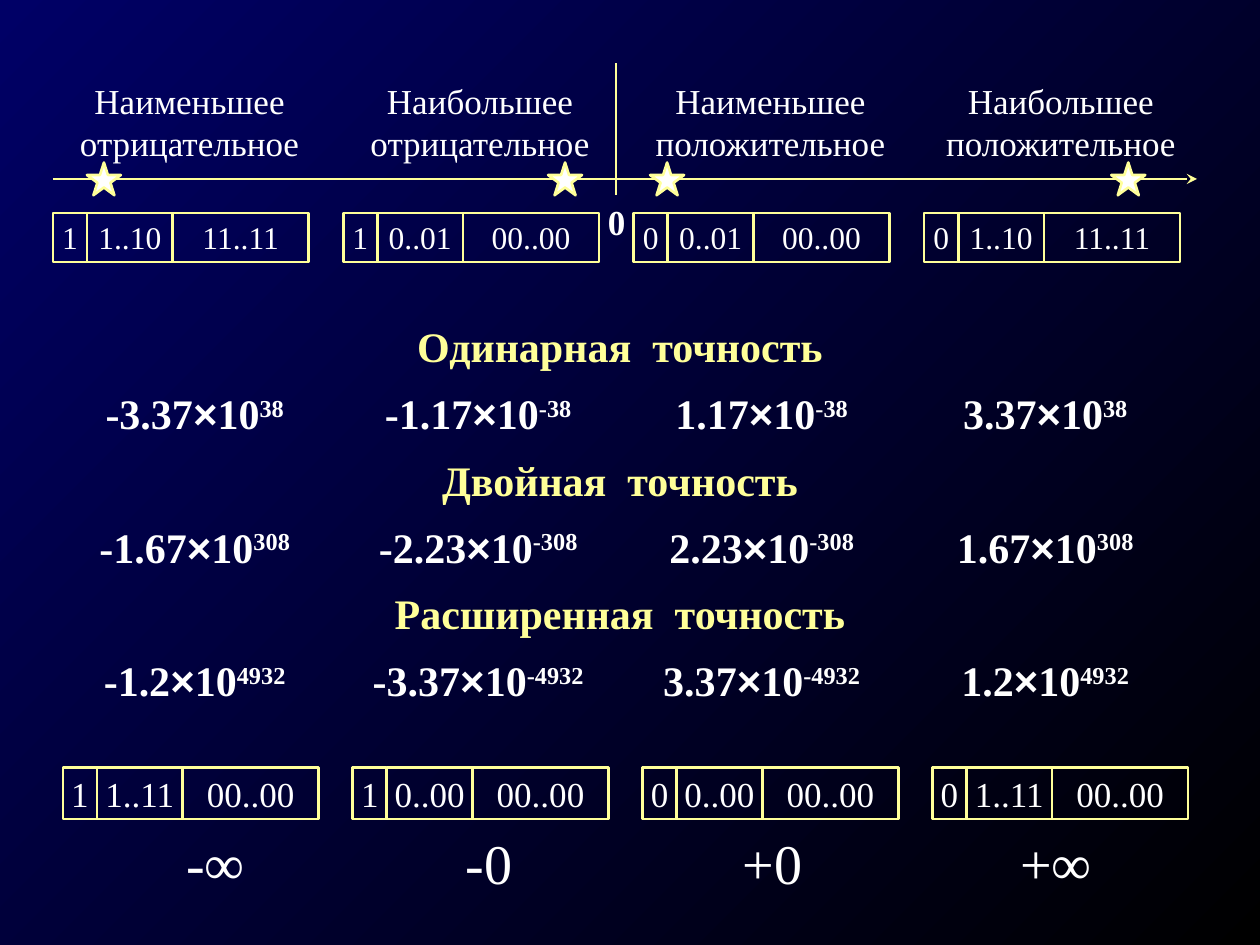
import pptx
import pptx.util
from pptx.dml.color import RGBColor
from pptx.enum.shapes import MSO_CONNECTOR, MSO_SHAPE
from pptx.enum.text import MSO_ANCHOR, PP_ALIGN
from pptx.oxml.ns import qn
from lxml import etree

NAVY = RGBColor(0x00, 0x00, 0x66)
BLACK = RGBColor(0x00, 0x00, 0x00)
WHITE = RGBColor(0xFF, 0xFF, 0xFF)
YELLOW = RGBColor(0xFF, 0xFF, 0x99)

SERIF = "Times New Roman"
LINE_WIDTH = 1.5
NO_TABLE_STYLE = "{2D5ABB26-0587-4C30-8999-92F81FD0307C}"

AXIS_LEFT, AXIS_RIGHT, AXIS_Y = 0.42, 9.5, 1.42
ZERO_X = 4.89
RANGE_STEP = 2.305
SPECIAL_LEFT, SPECIAL_STEP = 0.5, 2.3
FIELD_WIDTHS = (0.27, 0.68, 1.08)
STAR_WIDTH, STAR_HEIGHT = 0.27, 0.26
TABLE_TOP, TABLE_COLUMN, TABLE_ROW = 2.5, 2.25, 0.53

RANGES = [
    ("Наименьшее\nотрицательное", ("1", "1..10", "11..11"), 0.69),
    ("Наибольшее\nотрицательное", ("1", "0..01", "00..00"), 4.35),
    ("Наименьшее\nположительное", ("0", "0..01", "00..00"), 5.16),
    ("Наибольшее\nположительное", ("0", "1..10", "11..11"), 8.82),
]

PRECISIONS = [
    ("Одинарная  точность",
     [("-3.37", "38"), ("-1.17", "-38"), ("1.17", "-38"), ("3.37", "38")]),
    ("Двойная  точность",
     [("-1.67", "308"), ("-2.23", "-308"), ("2.23", "-308"), ("1.67", "308")]),
    ("Расширенная  точность",
     [("-1.2", "4932"), ("-3.37", "-4932"), ("3.37", "-4932"), ("1.2", "4932")]),
]

SPECIALS = [
    ("-∞", ("1", "1..11", "00..00"), 1.0),
    ("-0", ("1", "0..00", "00..00"), 3.17),
    ("+0", ("0", "0..00", "00..00"), 5.42),
    ("+∞", ("0", "1..11", "00..00"), 7.67),
]


def inches(*lengths):
    return [pptx.util.Inches(length) for length in lengths]


def paint_background(slide):
    fill = slide.background.fill
    fill.gradient()
    fill.gradient_angle = 315
    for stop, color, position in zip(fill.gradient_stops, (NAVY, BLACK), (0, 1)):
        stop.color.rgb = color
        stop.position = position


def style_font(font, size, color=WHITE, bold=False, name=SERIF):
    font.size = pptx.util.Pt(size)
    font.color.rgb = color
    font.bold = bold
    font.name = name


def write(frame, text, size, insets, bold=False):
    frame.word_wrap = True
    frame.vertical_anchor = MSO_ANCHOR.TOP
    frame.margin_left = frame.margin_right = pptx.util.Inches(insets[0])
    frame.margin_top = frame.margin_bottom = pptx.util.Inches(insets[1])
    frame.text = text
    for paragraph in frame.paragraphs:
        paragraph.alignment = PP_ALIGN.CENTER
        for run in paragraph.runs:
            style_font(run.font, size, bold=bold)


def add_label(slide, box, text, size, insets, bold=False):
    label = slide.shapes.add_textbox(*inches(*box))
    write(label.text_frame, text, size, insets, bold)


def outline(shape):
    shape.shadow.inherit = False
    shape.line.color.rgb = YELLOW
    shape.line.width = pptx.util.Pt(LINE_WIDTH)


def add_bit_fields(slide, left, top, height, bits, size):
    for bit_text, width in zip(bits, FIELD_WIDTHS):
        field = slide.shapes.add_shape(
            MSO_SHAPE.RECTANGLE, *inches(left, top, width, height))
        field.fill.background()
        outline(field)
        write(field.text_frame, bit_text, size, (0, 0.04))
        left += width


def add_star(slide, left):
    star = slide.shapes.add_shape(
        MSO_SHAPE.STAR_5_POINT,
        *inches(left, AXIS_Y - STAR_HEIGHT / 2, STAR_WIDTH, STAR_HEIGHT))
    star.fill.solid()
    star.fill.fore_color.rgb = WHITE
    outline(star)


def add_axis_line(slide, start, end, arrow=False):
    axis = slide.shapes.add_connector(
        MSO_CONNECTOR.STRAIGHT, *inches(*start, *end))
    axis.line.color.rgb = YELLOW
    axis.line.width = pptx.util.Pt(LINE_WIDTH)
    if arrow:
        etree.SubElement(axis.line._get_or_add_ln(), qn("a:tailEnd"), type="stealth")
    etree.SubElement(axis._element.spPr, qn("a:effectLst"))


def write_cell(cell, pieces, color):
    cell.fill.background()
    cell.vertical_anchor = MSO_ANCHOR.MIDDLE
    paragraph = cell.text_frame.paragraphs[0]
    paragraph.alignment = PP_ALIGN.CENTER
    for text, font_name, raised in pieces:
        run = paragraph.add_run()
        run.text = text
        style_font(run.font, 24, color, True, font_name)
        if raised:
            run._r.get_or_add_rPr().set("baseline", "30000")


def add_precision_table(slide):
    rows, columns = 2 * len(PRECISIONS), len(RANGES)
    table = slide.shapes.add_table(
        rows, columns, *inches(AXIS_LEFT, TABLE_TOP, columns * TABLE_COLUMN,
                               rows * TABLE_ROW)).table
    table.first_row = table.horz_banding = False
    table._tbl.tblPr.find(qn("a:tableStyleId")).text = NO_TABLE_STYLE
    for index, (heading, limits) in enumerate(PRECISIONS):
        heading_cell = table.cell(2 * index, 0)
        heading_cell.merge(table.cell(2 * index, columns - 1))
        write_cell(heading_cell, [(heading, SERIF, False)], YELLOW)
        for column, (mantissa, exponent) in enumerate(limits):
            pieces = [(mantissa, SERIF, False), ("×", "Arial", False),
                      ("10", SERIF, False), (exponent, SERIF, True)]
            write_cell(table.cell(2 * index + 1, column), pieces, WHITE)


def add_number_line(slide):
    add_axis_line(slide, (AXIS_LEFT, AXIS_Y), (AXIS_RIGHT, AXIS_Y), arrow=True)
    add_axis_line(slide, (ZERO_X, 0.5), (ZERO_X, 1.55))
    add_label(slide, (4.76, 1.55, 0.27, 0.4), "0", 20, (0, 0.04), bold=True)
    for index, (caption, bits, star_left) in enumerate(RANGES):
        left = AXIS_LEFT + index * RANGE_STEP
        add_label(slide, (left, 0.63, 2.17, 0.66), caption, 20, (0, 0))
        add_bit_fields(slide, left, 1.69, 0.39, bits, 18)
        add_star(slide, star_left)


def add_special_values(slide):
    for index, (value, bits, value_left) in enumerate(SPECIALS):
        left = SPECIAL_LEFT + index * SPECIAL_STEP
        add_bit_fields(slide, left, 6.09, 0.41, bits, 20)
        add_label(slide, (value_left, 6.53, 1.42, 0.64), value, 32, (0.1, 0.05))


def main():
    presentation = pptx.Presentation()
    presentation.slide_width, presentation.slide_height = inches(10, 7.5)
    slide = presentation.slides.add_slide(presentation.slide_layouts[6])
    paint_background(slide)
    add_number_line(slide)
    add_precision_table(slide)
    add_special_values(slide)
    presentation.save("out.pptx")


if __name__ == "__main__":
    main()
